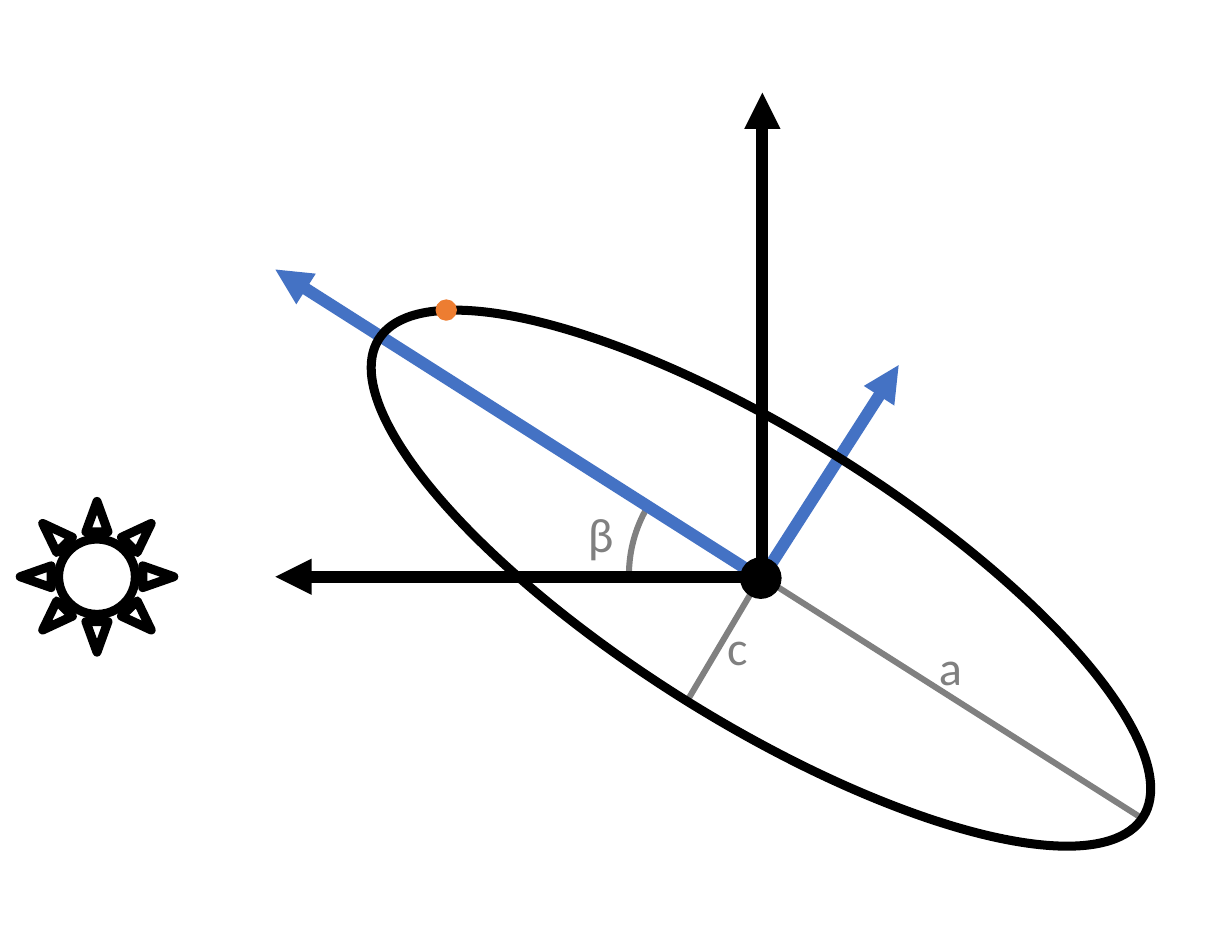
from lxml.etree import SubElement
from pptx import Presentation
from pptx.dml.color import RGBColor
from pptx.enum.shapes import MSO_CONNECTOR, MSO_SHAPE
from pptx.enum.text import MSO_AUTO_SIZE
from pptx.oxml.ns import qn
from pptx.util import Inches, Pt

BLACK, GRAY, BLUE, ORANGE = "000000", "808080", "4472C4", "ED7D31"
LABEL_FONT = {"name": "Calibri", "size": Pt(12)}
LABEL_FRAME = {"word_wrap": False, "auto_size": MSO_AUTO_SIZE.SHAPE_TO_FIT_TEXT}


def set_color(fmt, color):
    fmt.solid()
    fmt.fore_color.rgb = RGBColor.from_string(color)


def set_format(obj, values):
    for name, value in values.items():
        setattr(obj, name, value)


def set_line(line, color, width):
    set_color(line.fill, color)
    line.width = Pt(width)


def add_line(s, start, end, color, width, arrow=False):
    sp = s.shapes.add_connector(
        MSO_CONNECTOR.STRAIGHT, *(Inches(v) for v in (*start, *end)))
    set_line(sp.line, color, width)
    if arrow:
        SubElement(sp.line._get_or_add_ln(), qn("a:tailEnd"), type="triangle")
    SubElement(sp._element.spPr, qn("a:effectLst"))
    return sp


def add_outline(s, kind, box, color, width, rotation=0):
    sp = s.shapes.add_shape(kind, *(Inches(v) for v in box))
    sp.shadow.inherit = False
    sp.rotation = rotation
    sp.fill.background()
    set_line(sp.line, color, width)
    return sp


def add_dot(s, left, top, size, color):
    sp = add_outline(s, MSO_SHAPE.OVAL, (left, top, size, size), color, 1)
    set_color(sp.fill, color)


def add_angle_arc(s, box):
    sp = add_outline(s, MSO_SHAPE.ARC, box, GRAY, 1.5)
    sp.adjustments[0] = 197.47
    sp.adjustments[1] = 0
    sp._element.spPr.find(qn("a:xfrm")).set("flipH", "1")


def add_label(s, text, left, top):
    sp = s.shapes.add_textbox(
        Inches(left), Inches(top), Inches(0.29), Inches(0.3))
    tf = sp.text_frame
    set_format(tf, LABEL_FRAME)
    r = tf.paragraphs[0].add_run()
    r.text = text
    set_format(r.font, LABEL_FONT)
    set_color(r.font.fill, GRAY)


def main():
    prs = Presentation()
    set_format(prs, {"slide_width": Inches(4.25), "slide_height": Inches(3.25)})
    s = prs.slides.add_slide(prs.slide_layouts[6])

    # Semi-axes c and a, and the angle between the axes
    add_line(s, (2.66, 1.93), (2.37, 2.42), GRAY, 1.5)
    add_line(s, (3.95, 2.83), (2.58, 1.96), GRAY, 1.5)
    add_angle_arc(s, (2.17, 1.52, 0.93, 0.93))

    # Body axes, centre and reference axes
    add_line(s, (2.68, 2.03), (0.95, 0.93), BLUE, 3, arrow=True)
    add_line(s, (2.6, 2.04), (3.1, 1.26), BLUE, 3, arrow=True)
    add_dot(s, 2.56, 1.93, 0.13, BLACK)
    add_line(s, (2.63, 2.06), (2.63, 0.32), BLACK, 3, arrow=True)
    add_line(s, (2.69, 1.99), (0.95, 1.99), BLACK, 3, arrow=True)

    # Sun and tilted ellipse
    add_outline(s, MSO_SHAPE.SUN, (0.07, 1.73, 0.53, 0.52), BLACK, 2.25)
    add_outline(s, MSO_SHAPE.OVAL, (1.07, 1.5, 3.11, 0.99), BLACK, 2.25, rotation=32)

    # Labels and the marked point
    for text, left, top in (("β", 1.93, 1.69), ("a", 3.14, 2.15), ("c", 2.41, 2.08)):
        add_label(s, text, left, top)
    add_dot(s, 1.51, 1.04, 0.06, ORANGE)

    prs.save("out.pptx")


if __name__ == "__main__":
    main()
